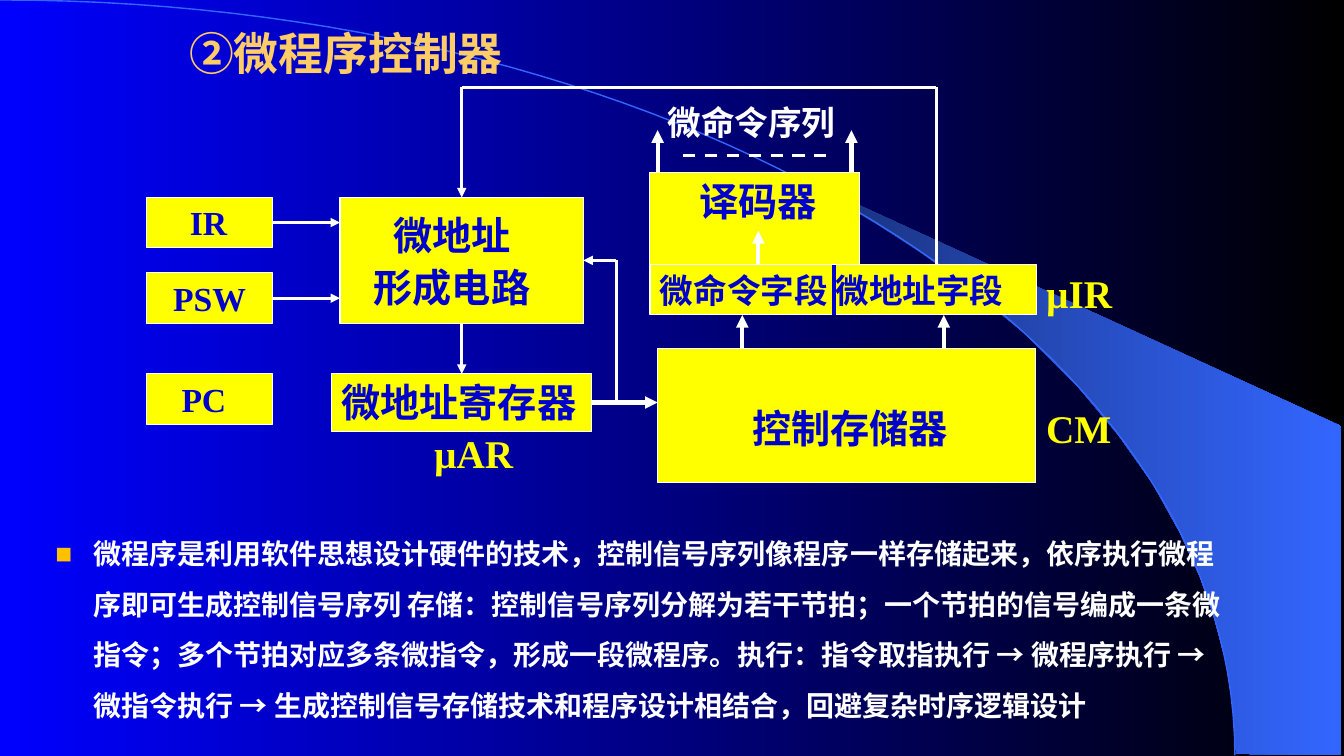
"""Build the slide about the microprogrammed controller."""
from dataclasses import dataclass

from lxml import etree
from pptx import Presentation
from pptx.dml.color import RGBColor
from pptx.enum.dml import MSO_LINE
from pptx.enum.shapes import MSO_CONNECTOR, MSO_SHAPE
from pptx.enum.text import MSO_ANCHOR, MSO_AUTO_SIZE, PP_ALIGN
from pptx.oxml.ns import qn
from pptx.util import Pt

RECTANGLE = MSO_SHAPE.RECTANGLE
STRAIGHT = MSO_CONNECTOR.STRAIGHT
DASH = MSO_LINE.DASH
TOP_ANCHOR = MSO_ANCHOR.TOP
NO_AUTOFIT = MSO_AUTO_SIZE.NONE
LEFT, CENTER = PP_ALIGN.LEFT, PP_ALIGN.CENTER
TOP_SIDE, LEFT_SIDE, BOTTOM_SIDE, RIGHT_SIDE = range(4)


@dataclass(frozen=True)
class Theme:
    """Colours, fonts and type sizes of the slide."""
    blue: str = "0000FF"
    black: str = "000000"
    navy: str = "182F76"
    sky: str = "3366FF"
    gold: str = "FFCC66"
    bullet: str = "FFC000"
    yellow: str = "FFFF00"
    ink: str = "0000CC"
    white: str = "FFFFFF"
    serif: str = "Times New Roman"
    sans: str = "Noto Sans CJK SC"
    arrow: str = "Arial"
    title: int = 32
    large: int = 28
    medium: int = 24
    body: int = 20


theme = Theme()


def write_text(shape, lines, size, color, alignment=LEFT, inset=7.2):
    """Fill a shape with lines, each a list of (text, font name) runs."""
    frame = shape.text_frame
    frame.word_wrap = True
    frame.auto_size = NO_AUTOFIT
    frame.vertical_anchor = TOP_ANCHOR
    frame.margin_left, frame.margin_right = Pt(inset), Pt(7.2)
    frame.margin_top = frame.margin_bottom = Pt(3.6)
    for index, line in enumerate(lines):
        paragraph = frame.add_paragraph() if index else frame.paragraphs[0]
        paragraph.alignment = alignment
        for text, font_name in line:
            run = paragraph.add_run()
            run.text = text
            run.font.name = font_name
            run.font.size = Pt(size)
            run.font.bold = True
            run.font.color.rgb = RGBColor.from_string(color)
            east_asian = etree.SubElement(run.font._element, qn("a:ea"))
            east_asian.set("typeface", theme.sans)
    return frame


def add_line(start, end, width=2.25, color=theme.white, arrow=True):
    """Draw a straight connector between two points."""
    line = slide.shapes.add_connector(STRAIGHT, *map(Pt, start + end))
    line.line.width = Pt(width)
    line.line.color.rgb = RGBColor.from_string(color)
    if arrow:
        etree.SubElement(line.line._get_or_add_ln(), qn("a:tailEnd"), type="triangle")
    etree.SubElement(line._element.spPr, qn("a:effectLst"))
    return line


presentation = Presentation()
presentation.slide_width, presentation.slide_height = Pt(960.5), Pt(540)
slide = presentation.slides.add_slide(presentation.slide_layouts[5])

wedge_points = [
    (883.5, 538.5), (958.5, 539.5), (958.5, 304.5), (566, 124.5), (599, 143.5),
    (626.5, 160), (657.5, 180), (687.5, 201.5), (731.5, 237.5), (770.5, 276.5),
    (799, 310.5), (823.5, 345), (843, 380), (857.5, 412), (867, 438.5),
    (876, 472.5), (880.5, 501)]
arc_controls = [(0, 0), (487.5, 0), (882.5, 241), (882.5, 539.5)]
steps = 60
arc_points = []
for step in range(steps + 1):
    t = step / steps
    weights = ((1 - t) ** 3, 3 * t * (1 - t) ** 2, 3 * t * t * (1 - t), t ** 3)
    arc_points.append([sum(weight * control[axis] for weight, control
                           in zip(weights, arc_controls)) for axis in (0, 1)])

outlines = []
for points, closed in ((wedge_points, True), (arc_points, False)):
    corners = [(Pt(x), Pt(y)) for x, y in points]
    builder = slide.shapes.build_freeform(*corners[0])
    builder.add_line_segments(corners[1:], close=closed)
    outline = builder.convert_to_shape()
    outline.shadow.inherit = False
    outlines.append(outline)
wedge, arc = outlines
wedge.line.fill.background()
arc.fill.background()
arc.line.color.rgb = RGBColor.from_string(theme.sky)
arc.line.width = Pt(1)

for fill, colors in ((slide.background.fill, (theme.blue, theme.black)),
                     (wedge.fill, (theme.navy, theme.sky))):
    fill.gradient()
    fill.gradient_angle = 0
    for position, (stop, color) in enumerate(zip(fill.gradient_stops, colors)):
        stop.position = position
        stop.color.rgb = RGBColor.from_string(color)

title = slide.shapes.title
title.left, title.top, title.width, title.height = map(Pt, (128, 15, 624, 46))
write_text(title, [[("②微程序控制器", theme.sans)]], theme.title, theme.gold)
slide.shapes.element.append(title.element)

boxes = {}
for name, bounds, label, size, inset in (
        ("address", (243, 141, 174, 90), "", theme.large, 7.2),
        ("IR", (104.5, 141, 90, 36), "IR", theme.medium, 31.2),
        ("PSW", (104.5, 195, 90, 36), "PSW", theme.medium, 19.2),
        ("PC", (104.5, 267, 90, 36), "PC", theme.medium, 25.2),
        ("register", (237, 267, 186, 41), "微地址寄存器", theme.large, 7.2),
        ("memory", (470, 249, 270, 96), "", theme.large, 7.2),
        ("decoder", (464.5, 123, 150, 75), "译码器", theme.large, 35.2),
        ("fields", (464.5, 189, 276, 36), "微命令字段 微地址字段", theme.medium, 7.2)):
    box = slide.shapes.add_shape(RECTANGLE, *map(Pt, bounds))
    box.shadow.inherit = False
    box.fill.solid()
    box.fill.fore_color.rgb = RGBColor.from_string(theme.yellow)
    box.line.color.rgb = RGBColor.from_string(theme.white)
    box.line.width = Pt(0.75)
    if label:
        font_name = theme.sans if name == "fields" else theme.serif
        write_text(box, [[(label, font_name)]], size, theme.ink, inset=inset)
    boxes[name] = box

for bounds, label, size, color, inset in (
        ((297, 303, 96, 41), "µAR", theme.large, theme.yellow, 13.2),
        ((530.5, 285, 168, 41), "控制存储器", theme.large, theme.ink, 7.2),
        ((740.5, 285, 78, 41), "CM", theme.large, theme.yellow, 7.2),
        ((470, 69, 150, 36), "微命令序列", theme.medium, theme.white, 7.2),
        ((740.5, 189, 78, 41), "µIR", theme.large, theme.yellow, 7.2)):
    caption = slide.shapes.add_textbox(*map(Pt, bounds))
    write_text(caption, [[(label, theme.serif)]], size, color, inset=inset)

address_caption = slide.shapes.add_textbox(Pt(253), Pt(159), Pt(140), Pt(65.5))
address_frame = write_text(
    address_caption, [[("微地址", theme.serif)], [("形成电路", theme.serif)]],
    theme.large, theme.ink, CENTER)
for paragraph in address_frame.paragraphs:
    paragraph.line_spacing = 0.6
address_frame.paragraphs[1].space_before = Pt(17.5)

add_line((596, 189), (596, 225), 3, theme.ink, arrow=False)
for x, start_y, end_y in ((530.5, 249, 225), (674.5, 249, 225), (542, 189, 165),
                          (470, 123, 93), (608.5, 123, 93)):
    add_line((x, start_y), (x, end_y), 3)
add_line((488, 111), (590.5, 111), arrow=False).line.dash_style = DASH

for name, y in (("IR", 159), ("PSW", 213)):
    add_line((194.5, y), (243, y)).begin_connect(boxes[name], RIGHT_SIDE)
add_line((423, 287.5), (470, 287.5), 3).begin_connect(boxes["register"], RIGHT_SIDE)
add_line((440.5, 287.5), (440.5, 186), arrow=False)
add_line((440.5, 186), (417, 186)).end_connect(boxes["address"], RIGHT_SIDE)
load_line = add_line((330, 231), (330, 267))
load_line.begin_connect(boxes["address"], BOTTOM_SIDE)
load_line.end_connect(boxes["register"], TOP_SIDE)
add_line((330, 62.5), (669, 62.5), arrow=False)
add_line((669, 62.5), (669, 189), arrow=False)
add_line((330, 62.5), (330, 141)).end_connect(boxes["address"], TOP_SIDE)

summary = slide.shapes.add_textbox(Pt(32.5), Pt(368), Pt(850.5), Pt(151))
summary_runs = [
    ("微程序是利用软件思想设计硬件的技术，控制信号序列像程序一样存储起来，"
     "依序执行微程序即可生成控制信号序列 存储：控制信号序列分解为若干节拍；"
     "一个节拍的信号编成一条微指令；多个节拍对应多条微指令，形成一段微程序。"
     "执行：指令取指执行 ", theme.sans),
    ("→", theme.arrow), (" 微程序执行 ", theme.sans),
    ("→", theme.arrow), (" 微指令执行 ", theme.sans),
    ("→ ", theme.arrow), ("生成控制信号存储技术和程序设计相结合，回避复杂时序逻辑设计", theme.sans)]
paragraph = write_text(summary, [summary_runs], theme.body, theme.white).paragraphs[0]
paragraph.line_spacing = 1.5
properties = paragraph._element.get_or_add_pPr()
properties.set("marL", str(Pt(27)))
properties.set("indent", str(-Pt(27)))
bullet_color = etree.SubElement(properties, qn("a:buClr"))
etree.SubElement(bullet_color, qn("a:srgbClr"), val=theme.bullet)
etree.SubElement(properties, qn("a:buFont"), typeface=theme.arrow)
etree.SubElement(properties, qn("a:buChar"), char="■")

presentation.save("out.pptx")
